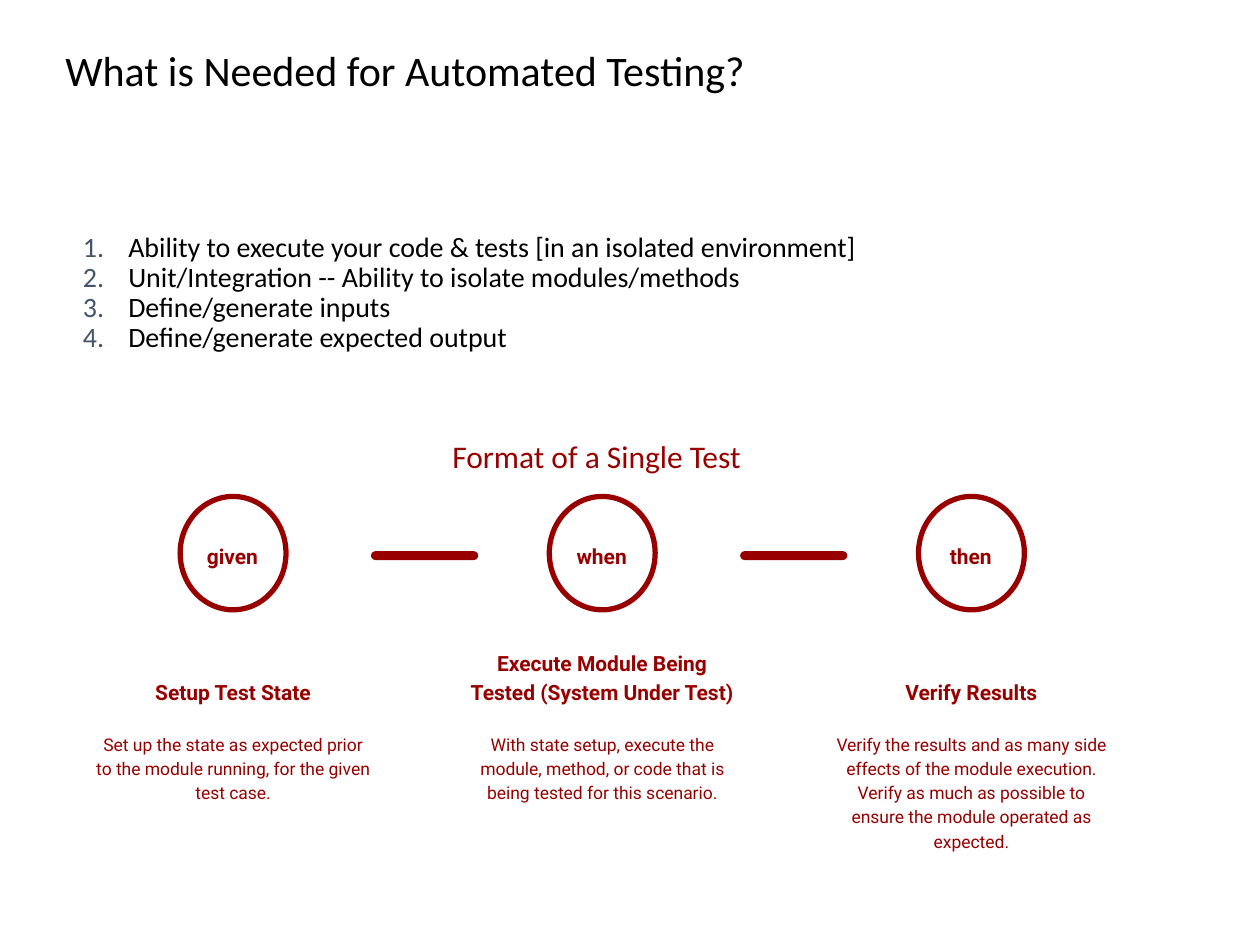
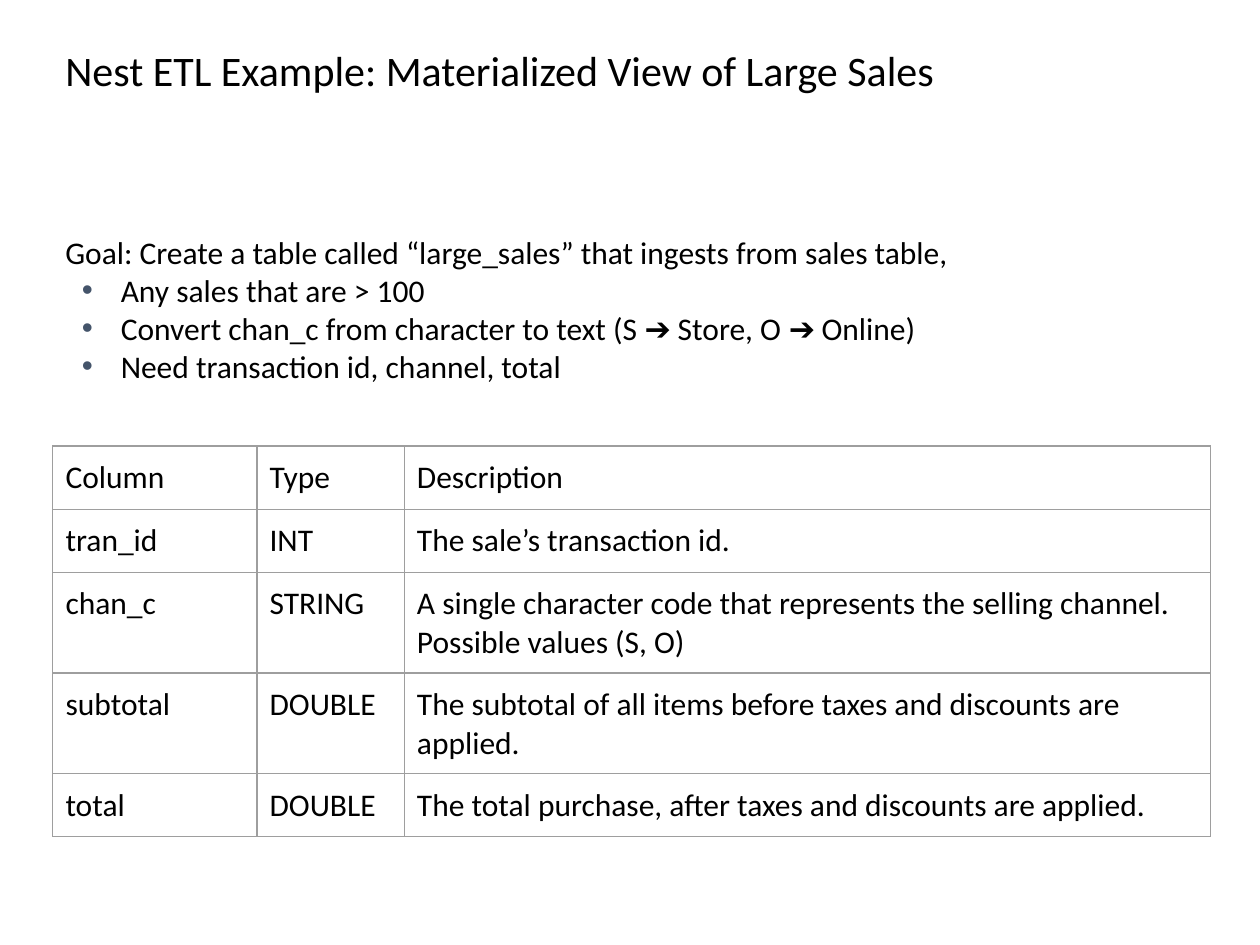
import pptx
import pptx.util
import pptx.dml.color
import pptx.enum.shapes
import pptx.enum.text
import lxml.etree
import pptx.oxml.ns

PX = 9144  # EMU per px, 100 px to the inch
COLORS = {"text": "000000", "bullet": "44546A", "accent": "980000", "border": "9E9E9E"}
ALIGN = pptx.enum.text.PP_ALIGN
ANCHOR = pptx.enum.text.MSO_ANCHOR
SHAPE = pptx.enum.shapes.MSO_SHAPE
LEFT, WIDTH, INSET = 42, 919, 10


def emu(px):
    return pptx.util.Emu(px * PX)


def rgb(name):
    return pptx.dml.color.RGBColor.from_string(COLORS[name])


def add_xml(parent, tag, **attrs):
    return lxml.etree.SubElement(parent, pptx.oxml.ns.qn(tag), attrs)


def set_bullet(p, bullet, indent, hang):
    """Give p a coloured bullet; "1." stands for automatic numbers."""
    pPr = p._p.get_or_add_pPr()
    pPr.set("marL", str(emu(indent)))
    pPr.set("indent", str(-emu(hang)))
    add_xml(add_xml(pPr, "a:buClr"), "a:srgbClr", val=COLORS["bullet"])
    if bullet == "1.":
        add_xml(pPr, "a:buFont", typeface="Calibri")
        add_xml(pPr, "a:buAutoNum", type="arabicPeriod")
    else:
        add_xml(pPr, "a:buFont", typeface="Arial")
        add_xml(pPr, "a:buChar", char=bullet)


def write(p, text, size=18, font="Calibri", color="text", bold=False,
          align=ALIGN.LEFT, spacing=None, after=0, bullet=None, indent=0, hang=0):
    p.alignment = align
    p.space_before = pptx.util.Pt(0)
    p.space_after = pptx.util.Pt(after)
    if spacing:
        p.line_spacing = spacing
    if bullet:
        set_bullet(p, bullet, indent, hang)
    r = p.add_run()
    r.text = text
    r.font.size = pptx.util.Pt(size)
    r.font.name = font
    r.font.bold = bold
    r.font.color.rgb = rgb(color)


class Deck:
    def __init__(self):
        self.prs = pptx.Presentation()
        self.prs.slide_width, self.prs.slide_height = emu(1000), emu(750)
        self.s = None

    def slide(self, title):
        self.s = self.prs.slides.add_slide(self.prs.slide_layouts[6])
        self.text(LEFT, 30, WIDTH, 125, title, size=24, spacing=0.9)

    def box(self, x, y, w, h, anchor=ANCHOR.TOP, wrap=True):
        tf = self.s.shapes.add_textbox(*map(emu, (x, y, w, h))).text_frame
        tf.word_wrap = wrap
        tf.vertical_anchor = anchor
        tf.margin_left = tf.margin_right = tf.margin_top = tf.margin_bottom = emu(INSET)
        return tf

    def text(self, x, y, w, h, text, anchor=ANCHOR.TOP, wrap=True, **style):
        write(self.box(x, y, w, h, anchor, wrap).paragraphs[0], text, **style)

    def bullets(self, y, h, items, intro=None, **style):
        tf = self.box(LEFT, y, WIDTH, h)
        p = tf.paragraphs[0]
        if intro:
            write(p, intro)
            p = tf.add_paragraph()
        for i, item in enumerate(items):
            write(tf.add_paragraph() if i else p, item, **style)

    def shape(self, kind, x, y, w, h, line_width, filled=False):
        sp = self.s.shapes.add_shape(kind, *map(emu, (x, y, w, h)))
        sp.shadow.inherit = False
        if filled:
            sp.fill.solid()
            sp.fill.fore_color.rgb = rgb("accent")
        else:
            sp.fill.background()
        sp.line.color.rgb = rgb("accent")
        sp.line.width = pptx.util.Pt(line_width)
        return sp

    def table(self, y, widths, row_height, rows):
        frame = self.s.shapes.add_table(len(rows), len(widths), emu(LEFT), emu(y),
                                        emu(sum(widths)), emu(row_height * len(rows)))
        table = frame.table
        table.first_row = table.horz_banding = False
        for col, width in zip(table.columns, widths):
            col.width = emu(width)
        for i, row in enumerate(rows):
            for j, text in enumerate(row):
                self.cell(table.cell(i, j), text)

    def cell(self, cell, text):
        cell.margin_left = cell.margin_right = emu(INSET)
        cell.margin_top = cell.margin_bottom = emu(INSET)
        write(cell.text_frame.paragraphs[0], text)
        tcPr = cell._tc.get_or_add_tcPr()
        for side in "LRTB":
            ln = add_xml(tcPr, f"a:ln{side}", w=str(pptx.util.Pt(0.75)))
            add_xml(add_xml(ln, "a:solidFill"), "a:srgbClr", val=COLORS["border"])
        cell.fill.background()


STEPS = [
    ("given", "Setup Test State",
     "Set up the state as expected prior to the module running, for the given test case."),
    ("when", "Execute Module Being Tested (System Under Test)",
     "With state setup, execute the module, method, or code that is being tested "
     "for this scenario."),
    ("then", "Verify Results",
     "Verify the results and as many side effects of the module execution. Verify as much "
     "as possible to ensure the module operated as expected."),
]

SALES_COLUMNS = [
    ("Column", "Type", "Description"),
    ("tran_id", "INT", "The sale’s transaction id."),
    ("chan_c", "STRING", "A single character code that represents the selling channel. "
                         "Possible values (S, O)"),
    ("subtotal", "DOUBLE", "The subtotal of all items before taxes and discounts are applied."),
    ("total", "DOUBLE", "The total purchase, after taxes and discounts are applied."),
]


def testing_slide(deck):
    deck.slide("What is Needed for Automated Testing?")
    deck.bullets(175, 125, [
        "Ability to execute your code & tests [in an isolated environment]",
        "Unit/Integration -- Ability to isolate modules/methods",
        "Define/generate inputs",
        "Define/generate expected output",
    ], size=16, spacing=0.9, bullet="1.", indent=50, hang=36)

    step_style = dict(font="Roboto", color="accent", align=ALIGN.CENTER, spacing=1.15)
    pitch = 293
    for i, (word, heading, detail) in enumerate(STEPS):
        x = 65 + i * pitch
        deck.shape(SHAPE.OVAL, x + 78, 394, 84, 90, 3)
        deck.text(x, 501, 240, 68, heading, anchor=ANCHOR.BOTTOM, size=12, bold=True,
                  **step_style)
        deck.text(x, 570, 240, 112, detail, size=10, after=16, **step_style)
        deck.text(x + 89, 418, 61, 49, word, wrap=False, size=12, bold=True, after=16,
                  **step_style)
        if i:
            bar = deck.shape(SHAPE.ROUNDED_RECTANGLE, x - 63, 438, 84, 6, 0.75, filled=True)
            bar.adjustments[0] = 0.5
    deck.text(294, 337, 359, 47, "Format of a Single Test", color="accent",
              align=ALIGN.CENTER)


def sales_slide(deck):
    deck.slide("Nest ETL Example: Materialized View of Large Sales")
    deck.bullets(175, 159, [
        "Any sales that are > 100",
        "Convert chan_c from character to text (S ➔ Store, O ➔ Online)",
        "Need transaction id, channel, total",
    ], intro="Goal: Create a table called “large_sales” that ingests from sales table,",
        bullet="•", indent=44, hang=31)
    deck.table(354, (162, 117, 640), 42, SALES_COLUMNS)


def main():
    deck = Deck()
    testing_slide(deck)
    sales_slide(deck)
    deck.prs.save("out.pptx")


if __name__ == "__main__":
    main()
